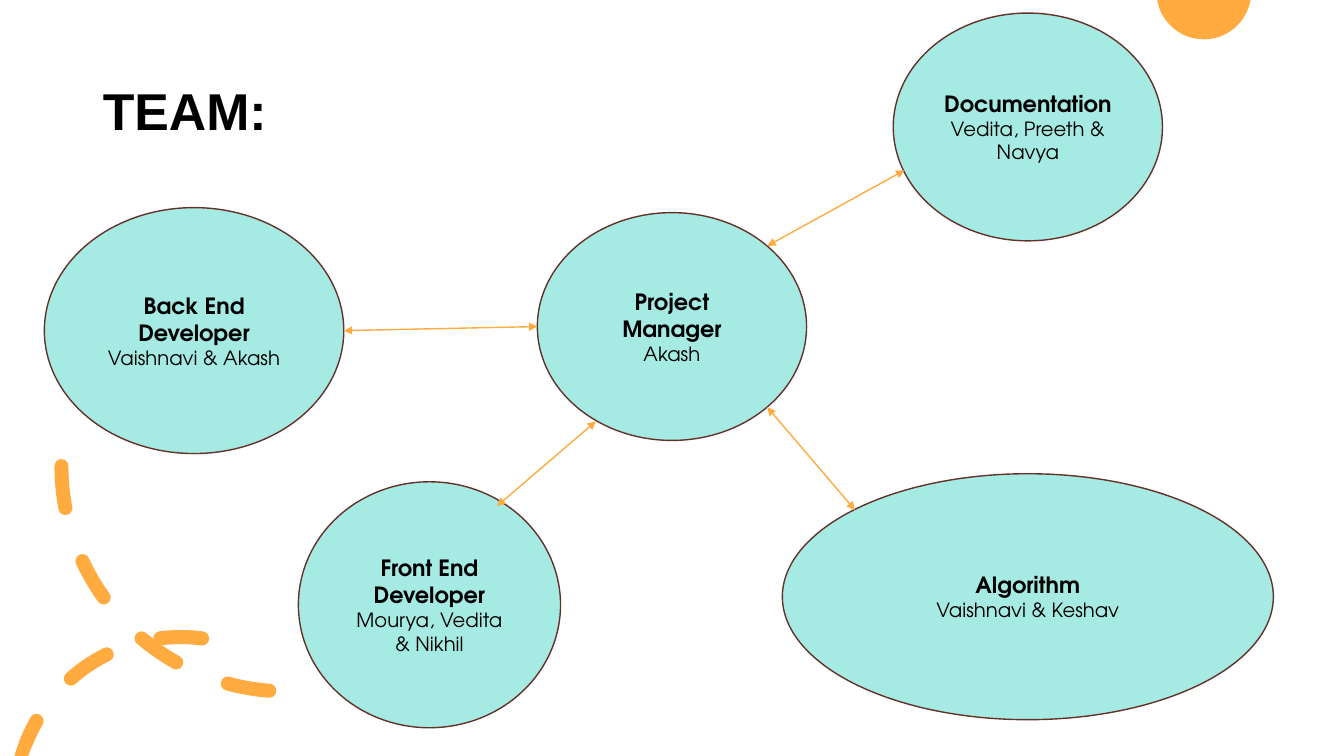
from dataclasses import dataclass
from math import ceil, cos, radians, sin, tan

from lxml.etree import SubElement
from pptx import Presentation
from pptx.dml.color import RGBColor
from pptx.enum.dml import MSO_LINE
from pptx.enum.shapes import MSO_CONNECTOR, MSO_SHAPE
from pptx.enum.text import MSO_ANCHOR, PP_ALIGN
from pptx.oxml.ns import qn
from pptx.slide import Slide
from pptx.util import Inches, Pt

Points = list[tuple[float, float]]


@dataclass(frozen=True)
class Theme:
    orange: RGBColor = RGBColor(0xFF, 0xAB, 0x40)
    mint: RGBColor = RGBColor(0xA5, 0xEB, 0xE4)
    brown: RGBColor = RGBColor(0x64, 0x31, 0x28)
    black: RGBColor = RGBColor(0, 0, 0)
    title_font: str = "Arial"
    body_font: str = "TeX Gyre Adventor"
    title_size: int = 37
    role_size: int = 16
    people_size: int = 14


@dataclass(frozen=True)
class Member:
    role: str
    people: str
    x: float
    y: float
    w: float
    h: float


@dataclass(frozen=True)
class Link:
    x1: float
    y1: float
    x2: float
    y2: float


THEME = Theme()
WIDTH, HEIGHT = 13.33, 7.5

MEMBERS = [
    Member("Documentation", "Vedita, Preeth & Navya", 8.86, 0.13, 2.67, 2.26),
    Member("Front End Developer", "Mourya, Vedita & Nikhil", 2.96, 4.78, 2.6, 2.44),
    Member("Back End Developer", "Vaishnavi & Akash", 0.44, 2.06, 2.97, 2.44),
    Member("Algorithm", "Vaishnavi & Keshav", 7.76, 4.7, 4.87, 2.44),
    Member("Project Manager", "Akash", 5.33, 2.11, 2.67, 2.26),
]
LINKS = [
    Link(7.61, 4.04, 8.48, 5.06),
    Link(7.61, 2.44, 8.97, 1.69),
    Link(3.41, 3.28, 5.33, 3.24),
    Link(4.93, 5.02, 5.91, 4.18),
]
RING_DASHES = [(82.5, 97), (116.5, 131.5), (150.5, 164.4)]


def write(p, text: str, *, size: int, font: str, bold: bool = False,
          align: PP_ALIGN = PP_ALIGN.LEFT) -> None:
    p.alignment = align
    r = p.add_run()
    r.text = text
    r.font.size = Pt(size)
    r.font.name = font
    r.font.bold = bold
    r.font.color.rgb = THEME.black


def on_circle(cx: float, cy: float, radius: float, angle: float) -> tuple[float, float]:
    return cx + radius * cos(radians(angle)), cy - radius * sin(radians(angle))


def arc_curves(cx: float, cy: float, radius: float, start: float, end: float) -> Points:
    count = ceil(abs(end - start) / 90)
    step = (end - start) / count
    pull = 4 / 3 * tan(radians(step) / 4) * radius
    points = []
    for i in range(count):
        a, b = start + i * step, start + (i + 1) * step
        x1, y1 = on_circle(cx, cy, radius, a)
        x2, y2 = on_circle(cx, cy, radius, b)
        points += [on_circle(x1, y1, pull, a + 90),
                   on_circle(x2, y2, -pull, b + 90), (x2, y2)]
    return points


def add_outline(s: Slide, contours: list[Points]) -> None:
    scaled = [[(Inches(x), Inches(min(max(y, 0), HEIGHT))) for x, y in c]
              for c in contours]
    builder = s.shapes.build_freeform(*scaled[0][0], scale=1.0)
    for i, pts in enumerate(scaled):
        if i:
            builder.move_to(*pts[0])
        builder.add_line_segments(pts[1:], close=True)
    sp = builder.convert_to_shape()
    segments = list(sp.element.iter(qn("a:lnTo")))
    for first, second, last in zip(segments[::3], segments[1::3], segments[2::3]):
        first.tag = qn("a:cubicBezTo")
        for segment in (second, last):
            first.append(segment[0])
            segment.getparent().remove(segment)
    sp.shadow.inherit = False
    sp.fill.solid()
    sp.fill.fore_color.rgb = THEME.orange
    sp.line.fill.background()


def ring_dash(start: float, end: float) -> Points:
    cx, cy, radius, half = 1.79, 7.96, 1.64, 0.07
    return [on_circle(cx, cy, radius + half, start),
            *arc_curves(cx, cy, radius + half, start, end),
            *arc_curves(*on_circle(cx, cy, radius, end), half, end, end + 180),
            *arc_curves(cx, cy, radius - half, end, start),
            *arc_curves(*on_circle(cx, cy, radius, start), half,
                        start + 180, start + 360)]


def add_dashed_arc(s: Slide) -> None:
    sp = s.shapes.add_shape(MSO_SHAPE.ARC, Inches(0.61), Inches(2.39),
                            Inches(4.47), Inches(4.47))
    sp.shadow.inherit = False
    sp.rotation = 270
    sp.element.spPr.find(qn("a:xfrm")).set("flipH", "1")
    sp.fill.background()
    sp.line.color.rgb = THEME.orange
    sp.line.width = Pt(10)
    sp.line.dash_style = MSO_LINE.DASH
    sp.element.spPr.find(qn("a:ln")).set("cap", "rnd")


def add_title(s: Slide, text: str) -> None:
    sp = s.shapes.title
    sp.left, sp.top, sp.width, sp.height = map(Inches, (0.92, 0.4, 11.5, 1.45))
    tf = sp.text_frame
    tf.vertical_anchor = MSO_ANCHOR.MIDDLE
    p = tf.paragraphs[0]
    p.line_spacing = 0.9
    write(p, text, size=THEME.title_size, font=THEME.title_font, bold=True)


def add_member(s: Slide, m: Member) -> None:
    sp = s.shapes.add_shape(MSO_SHAPE.OVAL, *map(Inches, (m.x, m.y, m.w, m.h)))
    sp.shadow.inherit = False
    sp.fill.solid()
    sp.fill.fore_color.rgb = THEME.mint
    sp.line.color.rgb = THEME.brown
    sp.line.width = Pt(1)
    tf = sp.text_frame
    tf.word_wrap = True
    tf.vertical_anchor = MSO_ANCHOR.MIDDLE
    write(tf.paragraphs[0], m.role, size=THEME.role_size, font=THEME.body_font,
          bold=True, align=PP_ALIGN.CENTER)
    write(tf.add_paragraph(), m.people, size=THEME.people_size,
          font=THEME.body_font, align=PP_ALIGN.CENTER)


def add_link(s: Slide, link: Link) -> None:
    cxn = s.shapes.add_connector(
        MSO_CONNECTOR.STRAIGHT,
        *map(Inches, (link.x1, link.y1, link.x2, link.y2)))
    cxn.line.color.rgb = THEME.orange
    cxn.line.width = Pt(1)
    spPr = cxn.element.spPr
    for end in ("a:headEnd", "a:tailEnd"):
        SubElement(spPr.find(qn("a:ln")), qn(end), type="triangle")
    SubElement(spPr, qn("a:effectLst"))


def main() -> None:
    prs = Presentation()
    prs.slide_width, prs.slide_height = Inches(WIDTH), Inches(HEIGHT)
    s = prs.slides.add_slide(prs.slide_layouts[5])
    sun = (11.94, -0.08, 0.47)
    add_outline(s, [[on_circle(*sun, 190), *arc_curves(*sun, 190, 350)]])
    add_outline(s, [ring_dash(*dash) for dash in RING_DASHES])
    add_title(s, "TEAM:")
    add_dashed_arc(s)
    for member in MEMBERS:
        add_member(s, member)
    for link in LINKS:
        add_link(s, link)
    prs.save("out.pptx")


if __name__ == "__main__":
    main()
